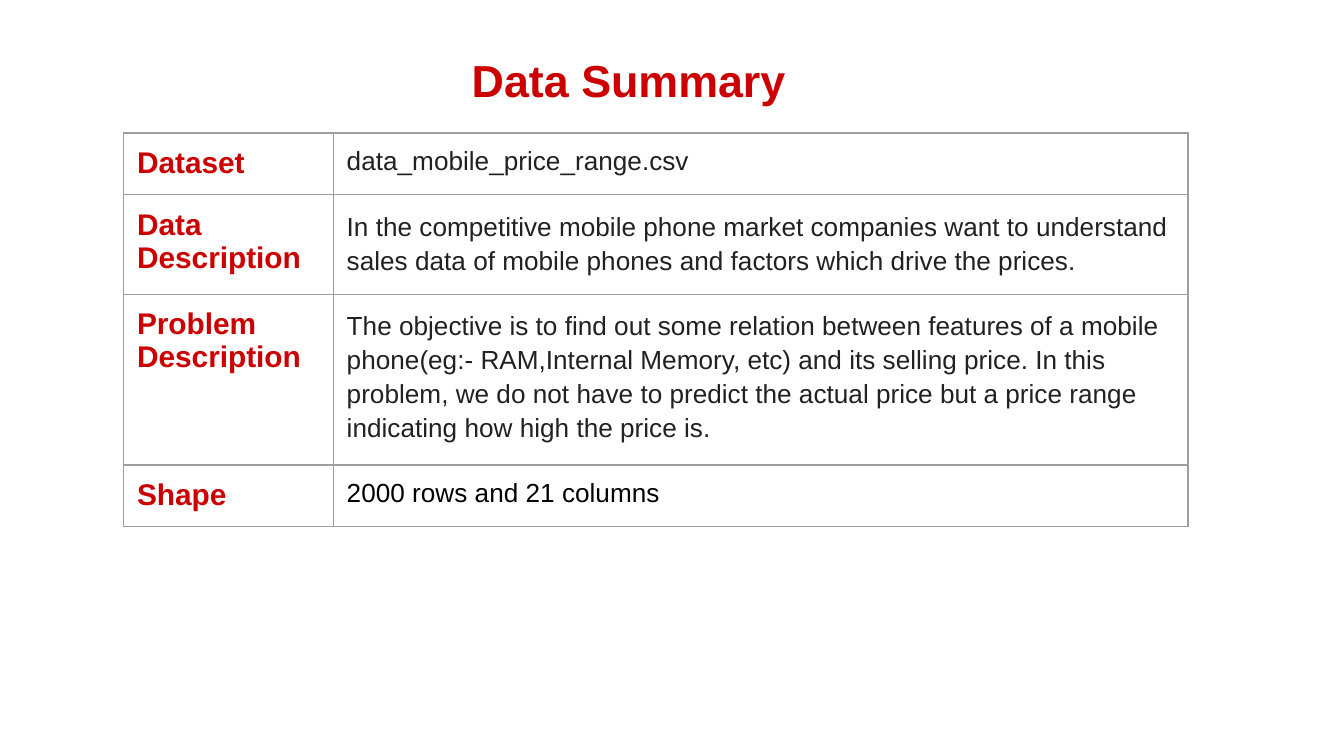
import pptx
import pptx.util
import pptx.dml.color
import pptx.enum.text
import pptx.oxml
from pptx.oxml.ns import qn
from lxml import etree

Inches = pptx.util.Inches

# Content: label, text, text colour, line spacing, row height
TITLE = "Data Summary"
ROWS = [
    ("Dataset", "data_mobile_price_range.csv", "212121", 1.0, 0.46),
    ("Data Description",
     "In the competitive mobile phone market companies want to understand "
     "sales data of mobile phones and factors which drive the prices.",
     "212121", 1.15, 0.74),
    ("Problem Description",
     "The objective is to find out some relation between features of a mobile "
     "phone(eg:- RAM,Internal Memory, etc) and its selling price. In this "
     "problem, we do not have to predict the actual price but a price range "
     "indicating how high the price is.",
     "212121", 1.15, 1.27),
    ("Shape", "2000 rows and 21 columns", "000000", 1.0, 0.46),
]
COLS = [1.56, 6.36]
RED, GREY = "CC0000", "9E9E9E"


def style(p, size, color, bold):
    for r in p.runs:
        r.font.name = "Arial"
        r.font.size = pptx.util.Pt(size)
        r.font.bold = bold
        r.font.color.rgb = pptx.dml.color.RGBColor.from_string(color)


def add_borders(cell, color, width):
    tcPr = cell._tc.get_or_add_tcPr()
    for i, side in enumerate(("a:lnL", "a:lnR", "a:lnT", "a:lnB")):
        ln = etree.Element(qn(side), w=str(pptx.util.Pt(width)))
        fill = etree.SubElement(ln, qn("a:solidFill"))
        etree.SubElement(fill, qn("a:srgbClr"), val=color)
        tcPr.insert(i, ln)


def fill_cell(cell, text, size, color, bold, spacing=1.0):
    cell.margin_left = cell.margin_right = Inches(0.1)
    cell.margin_top = cell.margin_bottom = Inches(0.1)
    cell.fill.background()
    add_borders(cell, GREY, 0.75)
    p = cell.text_frame.paragraphs[0]
    p.text = text
    p.line_spacing = spacing
    style(p, size, color, bold)


# Widescreen 16:9 slide
prs = pptx.Presentation()
prs.slide_width = Inches(10)
prs.slide_height = Inches(10 * 9 / 16)
s = prs.slides.add_slide(prs.slide_layouts[5])

# Title
title = s.shapes.title
title.left, title.top = Inches(0.41), Inches(0.34)
title.width, title.height = Inches(7.69), Inches(0.5)
tf = title.text_frame
tf.text = TITLE
tf.word_wrap = True
tf.auto_size = pptx.enum.text.MSO_AUTO_SIZE.NONE
tf.vertical_anchor = pptx.enum.text.MSO_ANCHOR.TOP
p = tf.paragraphs[0]
p.alignment = pptx.enum.text.PP_ALIGN.LEFT
p._p.get_or_add_pPr().set("marL", str(Inches(3)))
style(p, 24, RED, True)

# Summary table
table = s.shapes.add_table(
    len(ROWS), len(COLS), Inches(0.92), Inches(0.99),
    Inches(sum(COLS)), Inches(sum(row[-1] for row in ROWS))).table
table.first_row = table.horz_banding = False
for column, width in zip(table.columns, COLS):
    column.width = Inches(width)
for i, (label, text, color, spacing, height) in enumerate(ROWS):
    table.rows[i].height = Inches(height)
    fill_cell(table.cell(i, 0), label, 16, RED, True)
    fill_cell(table.cell(i, 1), text, 14, color, False, spacing)

prs.save("out.pptx")
